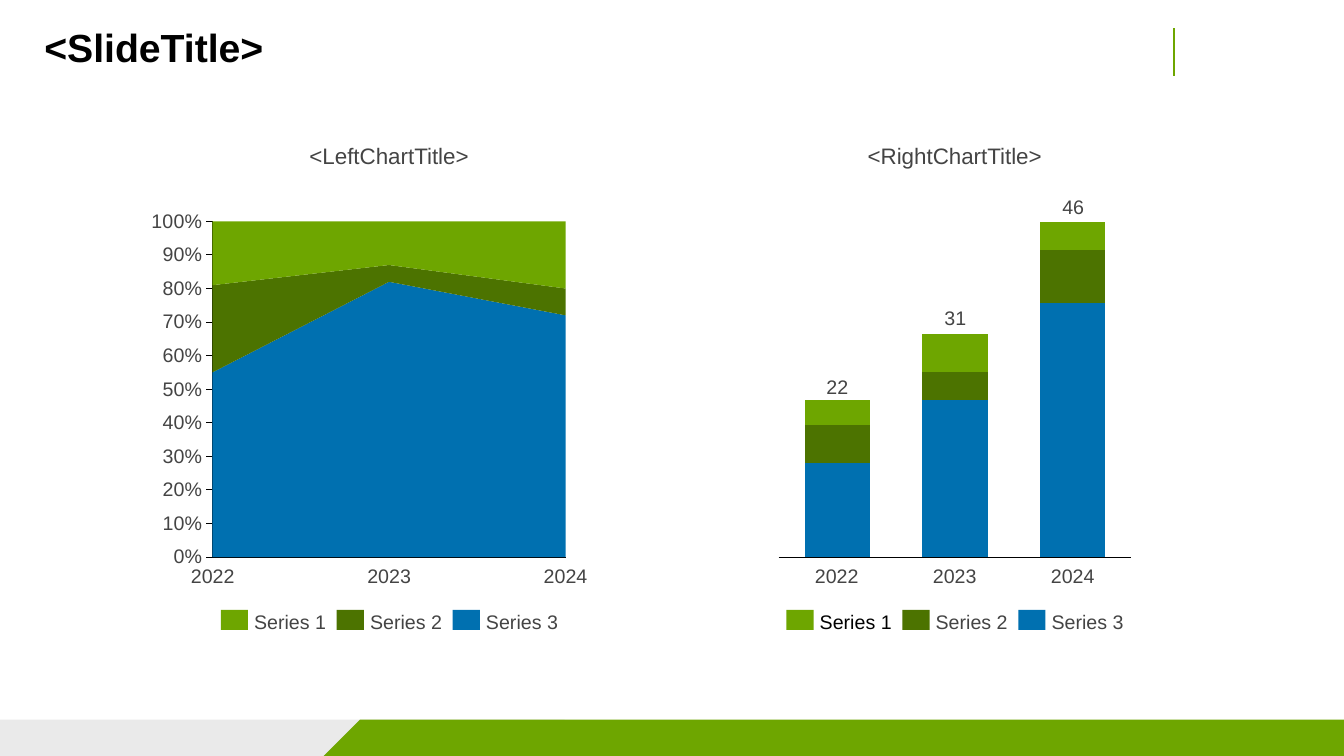
from pptx import Presentation
from pptx.chart.data import CategoryChartData
from pptx.dml.color import RGBColor
from pptx.enum.chart import XL_CHART_TYPE, XL_TICK_LABEL_POSITION, XL_TICK_MARK
from pptx.enum.shapes import MSO_CONNECTOR, MSO_SHAPE
from pptx.enum.text import MSO_ANCHOR, PP_ALIGN
from pptx.oxml.ns import qn
from pptx.util import Inches, Pt
from lxml.etree import SubElement

LIME = RGBColor(0x6E, 0xA6, 0x00)
OLIVE = RGBColor(0x4C, 0x73, 0x00)
BLUE = RGBColor(0x00, 0x70, 0xB0)
PALE = RGBColor(0xEA, 0xEA, 0xEA)
GREY = RGBColor(0x44, 0x44, 0x44)
BLACK = RGBColor(0, 0, 0)
FONT = "Arial"
YEARS = ["2022", "2023", "2024"]
LEGEND = [("Series 1", LIME), ("Series 2", OLIVE), ("Series 3", BLUE)]
STACK_COLORS = [BLUE, OLIVE, LIME]


def set_font(font, size, color, bold=False):
    font.name = FONT
    font.size = Pt(size)
    font.bold = bold
    font.color.rgb = color


def fill_plain(shape, color):
    shape.shadow.inherit = False
    shape.fill.solid()
    shape.fill.fore_color.rgb = color
    shape.line.fill.background()


def clear_margins(frame):
    frame.margin_left = frame.margin_right = 0
    frame.margin_top = frame.margin_bottom = 0


def add_rect(slide, left, top, width, height, color):
    shape = slide.shapes.add_shape(MSO_SHAPE.RECTANGLE, Inches(left), Inches(top),
                                   Inches(width), Inches(height))
    fill_plain(shape, color)


def add_label(slide, text, left, top, width, height=0.23, size=14, color=GREY,
              align=PP_ALIGN.CENTER, anchor=MSO_ANCHOR.MIDDLE):
    box = slide.shapes.add_textbox(Inches(left), Inches(top), Inches(width), Inches(height))
    frame = box.text_frame
    clear_margins(frame)
    frame.word_wrap = False
    frame.vertical_anchor = anchor
    para = frame.paragraphs[0]
    para.text = text
    para.alignment = align
    set_font(para.runs[0].font, size, color)


def add_frame(slide):
    # Footer band
    add_rect(slide, 0, 7.14, 5.6, 0.36, PALE)
    builder = slide.shapes.build_freeform(Inches(3.57), Inches(7.14))
    corners = [(13.33, 7.14), (13.33, 7.5), (3.21, 7.5)]
    builder.add_line_segments([(Inches(x), Inches(y)) for x, y in corners])
    fill_plain(builder.convert_to_shape(), LIME)

    # Header divider
    divider = slide.shapes.add_connector(MSO_CONNECTOR.STRAIGHT, Inches(11.64), Inches(0.28),
                                         Inches(11.64), Inches(0.75))
    divider.line.color.rgb = LIME
    divider.line.width = Pt(1.5)
    SubElement(divider.element.spPr, qn("a:effectLst"))


def add_title(slide, text):
    title = slide.shapes.title
    title.left, title.top = Inches(0.44), Inches(0.28)
    title.width, title.height = Inches(11.03), Inches(0.42)
    frame = title.text_frame
    frame.text = text
    clear_margins(frame)
    frame.vertical_anchor = MSO_ANCHOR.TOP
    para = frame.paragraphs[0]
    para.alignment = PP_ALIGN.LEFT
    para.line_spacing = 0.9
    set_font(para.runs[0].font, 28, BLACK, bold=True)


def set_plot_layout(chart, bounds):
    plot_area = chart.element.xpath(".//c:plotArea")[0]
    for layout in plot_area.findall(qn("c:layout")):
        plot_area.remove(layout)
    layout = SubElement(plot_area, qn("c:layout"))
    plot_area.insert(0, layout)
    manual = SubElement(layout, qn("c:manualLayout"))
    settings = [("layoutTarget", "inner"), ("xMode", "edge"), ("yMode", "edge")]
    settings += zip("xywh", bounds)
    for name, value in settings:
        SubElement(manual, qn(f"c:{name}")).set("val", str(value))


def style_axis_line(axis):
    axis.format.line.color.rgb = BLACK
    axis.format.line.width = Pt(0.75)


def add_stacked_chart(slide, kind, bounds, plot_bounds, values, maximum):
    data = CategoryChartData()
    data.categories = YEARS
    # Lowest layer of the stack comes first, named as its colour is in the legend
    for number, row in enumerate(values):
        data.add_series(LEGEND[2 - number][0], row)
    chart = slide.shapes.add_chart(kind, *[Inches(n) for n in bounds], data).chart
    chart.has_legend = False
    chart.has_title = False
    set_font(chart.font, 10, BLACK)
    set_plot_layout(chart, plot_bounds)
    for series, color in zip(chart.plots[0].series, STACK_COLORS):
        series.format.fill.solid()
        series.format.fill.fore_color.rgb = color

    years = chart.category_axis
    years.tick_label_position = XL_TICK_LABEL_POSITION.NONE
    years.major_tick_mark = XL_TICK_MARK.NONE
    years.has_major_gridlines = False
    style_axis_line(years)
    scale = chart.value_axis
    scale.minimum_scale, scale.maximum_scale = 0, maximum
    scale.has_major_gridlines = False
    return chart


def add_share_chart(slide):
    values = [(55, 82, 72), (26, 5, 8), (19, 13, 20)]
    chart = add_stacked_chart(slide, XL_CHART_TYPE.AREA_STACKED, (1.28, 1.97, 4.42, 3.78),
                              (0.187, 0.06, 0.793, 0.881), values, 100)
    scale = chart.value_axis
    scale.major_unit = 10
    scale.major_tick_mark = XL_TICK_MARK.OUTSIDE
    scale.tick_labels.number_format = '#,##0"%";"-"#,##0"%"'
    scale.tick_labels.number_format_is_linked = False
    set_font(scale.tick_labels.font, 14, GREY)
    style_axis_line(scale)
    # Areas reach from the first to the last category
    for crossing in chart.element.xpath(".//c:valAx/c:crossBetween"):
        crossing.set("val", "midCat")


def add_total_chart(slide):
    values = [(37, 62, 100), (15, 11, 21), (10, 15, 12)]
    chart = add_stacked_chart(slide, XL_CHART_TYPE.COLUMN_STACKED, (7.63, 2.11, 3.68, 3.51),
                              (0.025, 0.026, 0.951, 0.949), values, 132)
    chart.value_axis.visible = False
    chart.plots[0].gap_width = 80
    chart.plots[0].overlap = 100
    for number, (total, top) in enumerate([("22", 3.72), ("31", 3.04), ("46", 1.94)]):
        add_label(slide, total, 8.17 + 1.17 * number, top, 0.27, anchor=MSO_ANCHOR.BOTTOM)


def add_captions(slide, title, left, first_year, year_step, first_color=GREY):
    # Chart title, year labels and legend
    add_label(slide, title, left, 1.41, 3.5, 0.27, size=16)
    for number, year in enumerate(YEARS):
        add_label(slide, year, first_year + year_step * number, 5.59, 0.44,
                  anchor=MSO_ANCHOR.TOP)
    for number, (name, color) in enumerate(LEGEND):
        key_left = left + 0.08 + 1.15 * number
        add_rect(slide, key_left, 6.05, 0.27, 0.2, color)
        add_label(slide, name, key_left + 0.33, 6.05, 0.78, align=PP_ALIGN.LEFT,
                  color=first_color if number == 0 else GREY)


def main():
    deck = Presentation()
    deck.slide_width, deck.slide_height = Inches(13.33), Inches(7.5)
    slide = deck.slides.add_slide(deck.slide_layouts[5])
    add_frame(slide)
    add_title(slide, "<SlideTitle>")
    add_share_chart(slide)
    add_captions(slide, "<LeftChartTitle>", 2.11, 1.89, 1.75)
    add_total_chart(slide)
    add_captions(slide, "<RightChartTitle>", 7.72, 8.08, 1.17, first_color=BLACK)
    deck.save("out.pptx")


if __name__ == "__main__":
    main()
